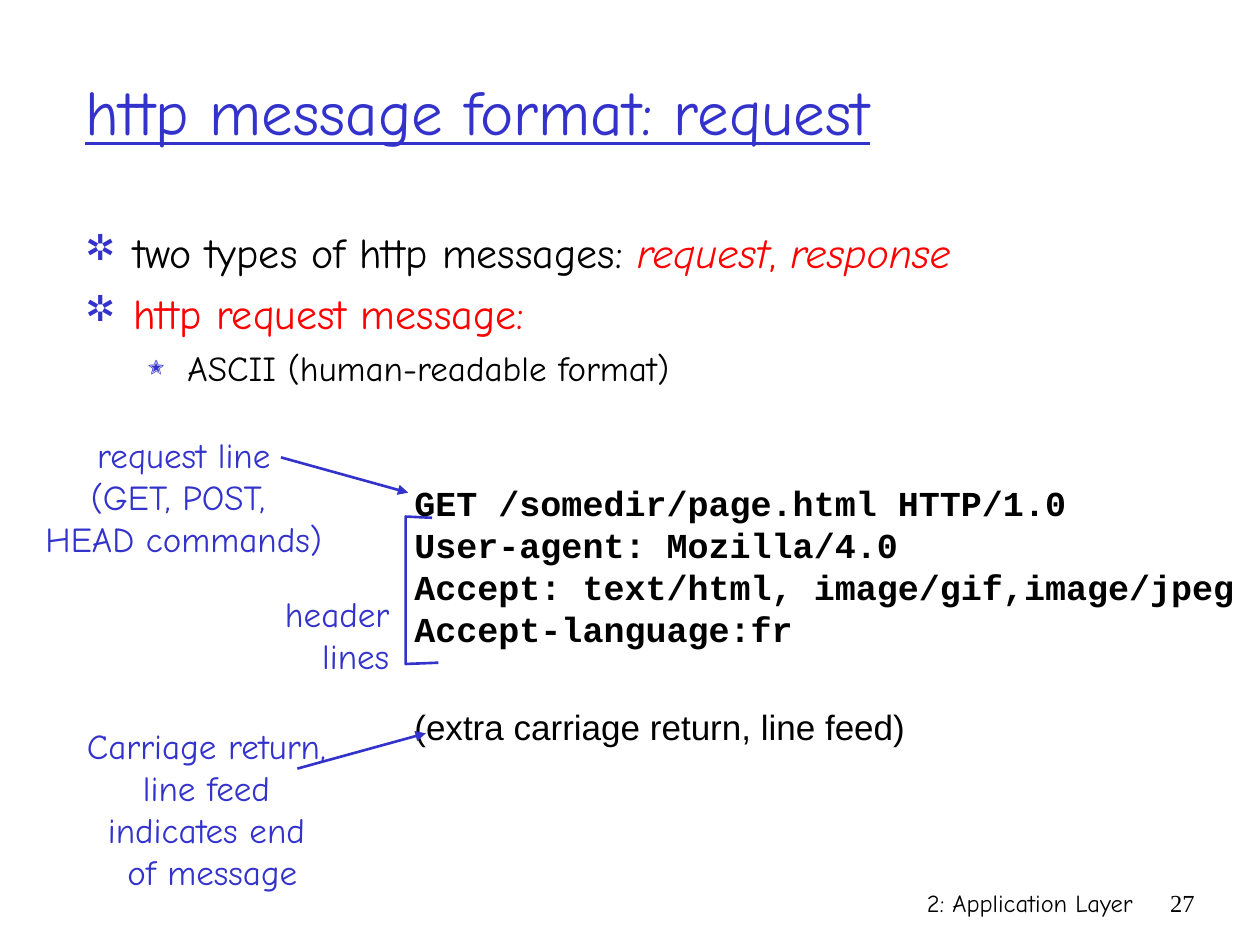
from lxml import etree
from pptx import Presentation
from pptx.dml.color import RGBColor
from pptx.enum.shapes import MSO_CONNECTOR
from pptx.enum.text import MSO_ANCHOR, PP_ALIGN
from pptx.oxml.ns import qn
from pptx.util import Inches, Pt

BLUE = RGBColor(0x33, 0x33, 0xCC)
RED = RGBColor(0xFF, 0, 0)
BLACK = RGBColor(0, 0, 0)
LEFT, MID, RIGHT = PP_ALIGN.LEFT, PP_ALIGN.CENTER, PP_ALIGN.RIGHT
TOP, CENTER = MSO_ANCHOR.TOP, MSO_ANCHOR.MIDDLE
STRAIGHT = MSO_CONNECTOR.STRAIGHT
COMIC = "Comic Neue"


def write(para, text, size=20, font=COMIC, color=BLACK, bold=False, italic=False, under=False):
    """Add one formatted run to a paragraph."""
    run = para.add_run()
    run.text = text
    face = run.font
    face.size, face.name, face.color.rgb = Pt(size), font, color
    face.bold, face.italic, face.underline = bold, italic, under


def mark(para, sign, scale, left, hang):
    """Give a paragraph a blue bullet with a hanging indent."""
    props = para._p.get_or_add_pPr()
    props.set("marL", str(Inches(left)))
    props.set("indent", str(-Inches(hang)))
    tint = etree.SubElement(props, qn("a:buClr"))
    etree.SubElement(tint, qn("a:srgbClr"), val=str(BLUE))
    etree.SubElement(props, qn("a:buSzPct"), val=str(scale * 1000))
    etree.SubElement(props, qn("a:buFont"), typeface="ZapfDingbats")
    etree.SubElement(props, qn("a:buChar"), char=sign)


class Page:
    """Holds the line style and the current slide."""

    def __init__(self, slide, color=BLUE, width=1.5):
        self.shapes = slide.shapes
        self.color, self.width = color, Pt(width)

    def frame(self, x, y, w, h, wrap=True, anchor=TOP):
        """Add an empty text box and return its frame."""
        box = self.shapes.add_textbox(Inches(x), Inches(y), Inches(w), Inches(h))
        frame = box.text_frame
        frame.word_wrap, frame.vertical_anchor = wrap, anchor
        return frame

    def text(self, area, lines, align=LEFT, wrap=False, anchor=TOP, pitch=None, **style):
        """Add a text box with one paragraph per line."""
        frame = self.frame(*area, wrap=wrap, anchor=anchor)
        for i, line in enumerate(lines):
            para = frame.add_paragraph() if i else frame.paragraphs[0]
            para.alignment = align
            if pitch:
                para.line_spacing = Pt(pitch)
            write(para, line, **style)
        return frame

    def points(self, area, items):
        """Add a bulleted list of (level, runs) items."""
        frame = self.frame(*area)
        for i, (level, runs) in enumerate(items):
            para = frame.add_paragraph() if i else frame.paragraphs[0]
            para.level = level
            if i:
                para.space_before = Pt(5 if level else 6)
            mark(para, *(("❍", 75, 0.81, 0.31) if level else ("❒", 85, 0.38, 0.38)))
            for text, style in runs:
                write(para, text, size=20 if level else 24, **style)

    def arrow(self, x1, y1, x2, y2):
        """Add a line with an arrowhead at its end."""
        link = self.shapes.add_connector(STRAIGHT, Inches(x1), Inches(y1), Inches(x2), Inches(y2))
        link.line.color.rgb, link.line.width = self.color, self.width
        etree.SubElement(link.line._get_or_add_ln(), qn("a:tailEnd"), type="triangle")
        etree.SubElement(link._element.spPr, qn("a:effectLst"))

    def trace(self, start, *rest):
        """Add an open outline through the given points."""
        pen = self.shapes.build_freeform(Inches(start[0]), Inches(start[1]))
        pen.add_line_segments([(Inches(x), Inches(y)) for x, y in rest], close=False)
        shape = pen.convert_to_shape()
        shape.shadow.inherit = False
        shape.fill.background()
        shape.line.color.rgb, shape.line.width = self.color, self.width


def main():
    """Build the slide and save it."""
    deck = Presentation()
    deck.slide_width, deck.slide_height = Inches(10), Inches(7.5)
    page = Page(deck.slides.add_slide(deck.slide_layouts[6]))

    page.text((5.92, 7, 3.17, 0.5), ["2: Application Layer"], align=RIGHT, wrap=True, size=14)
    page.text((9.08, 7, 0.5, 0.5), ["27"], align=RIGHT, wrap=True, size=14, font="Times New Roman")
    page.text((0.58, 0.25, 8.5, 1.25), ["http message format: request"], wrap=True,
              anchor=CENTER, size=36, color=BLUE, under=True)

    red, slant = {"color": RED}, {"color": RED, "italic": True}
    page.points((0.58, 1.75, 8.5, 5.08), [
        (0, [("two types of http messages: ", {}), ("request", slant), (", ", red), ("response", slant)]),
        (0, [("http request message:", red)]),
        (1, [("ASCII (human-readable format)", {})]),
    ])

    code = page.text((3.19, 3.77, 6.88, 2.24), [
        "GET /somedir/page.html HTTP/1.0",
        "User-agent: Mozilla/4.0",
        "Accept: text/html, image/gif,image/jpeg",
        "Accept-language:fr",
    ], pitch=24, font="Courier New", bold=True)
    extra = code.add_paragraph()
    extra.space_before = Pt(32)
    extra.line_spacing = Pt(24)
    write(extra, "(extra carriage return, line feed)", font="Arial")

    page.text((0.26, 3.39, 2.4, 1.1), ["request line", "(GET, POST, ", "HEAD commands)"],
              align=MID, color=BLUE)
    page.arrow(2.23, 3.63, 3.24, 3.91)
    page.trace((3.43, 4.11), (3.22, 4.1), (3.22, 5.27), (3.48, 5.26))
    page.text((2.16, 4.65, 1.03, 0.77), ["header", "lines"], align=RIGHT, color=BLUE)
    page.arrow(2.36, 6.1, 3.38, 5.82)
    page.text((0.59, 5.7, 2.19, 1.44),
              ["Carriage return, ", "line feed ", "indicates end ", "of message"],
              align=MID, color=BLUE)
    deck.save("out.pptx")


if __name__ == "__main__":
    main()
